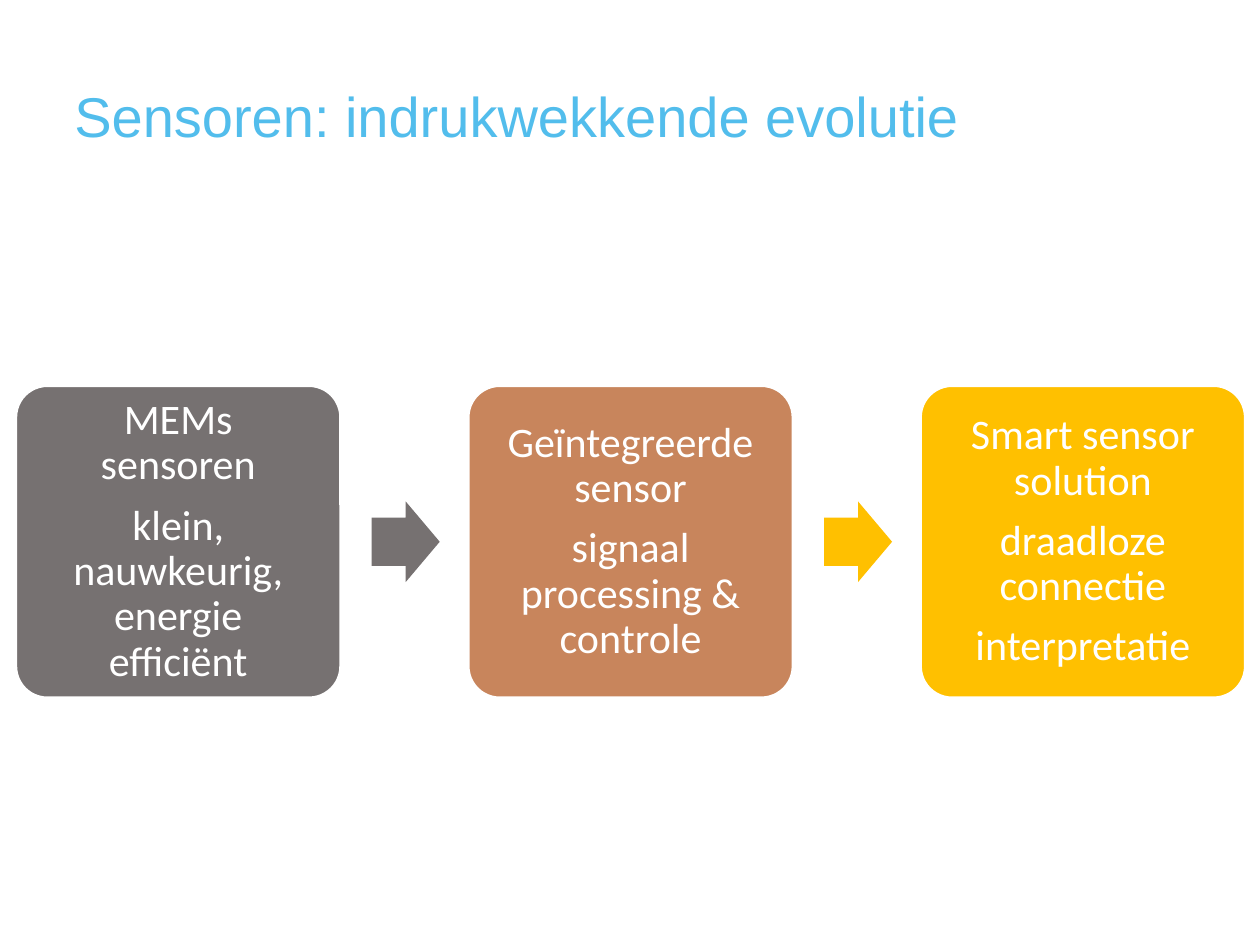
from pptx import Presentation, util as u
from pptx.dml.color import RGBColor
from pptx.enum import shapes, text

look = {
    "title": "52BDEC", "text": "FFFFFF",
    "steps": ["767171", "C8855C", "FFC000"],
    "arrows": ["767171", "FFC000"],
    "head": 32, "body": 24, "gap": 8.5,
}
steps = [
    ["MEMs sensoren", "klein, nauwkeurig, energie efficiënt"],
    ["Geïntegreerde sensor", "signaal processing & controle"],
    ["Smart sensor solution", "draadloze connectie", "interpretatie"],
]
left, pitch, wide, high, mid = 0.13, 3.59, 2.57, 2.47, 4.3
shaft, tall, inset = 0.54, 0.64, 0.17


def style(font, name, size, tint):
    font.name = name
    font.size = u.Pt(size)
    font.color.rgb = RGBColor.from_string(tint)


def block(kind, x, w, h, tint, adjust):
    shape = slide.shapes.add_shape(
        kind, u.Inches(x), u.Inches(mid - h / 2), u.Inches(w), u.Inches(h))
    shape.shadow.inherit = False
    shape.fill.solid()
    shape.fill.fore_color.rgb = RGBColor.from_string(tint)
    shape.line.fill.background()
    for i, share in enumerate(adjust):
        shape.adjustments[i] = share
    return shape


deck = Presentation()
deck.slide_width, deck.slide_height = u.Inches(10), u.Inches(7.5)
slide = deck.slides.add_slide(deck.slide_layouts[5])

title = slide.shapes.title
title.left, title.top = u.Inches(0.59), u.Inches(0.2)
title.width, title.height = u.Inches(9.11), u.Inches(0.98)
frame = title.text_frame
frame.text = "Sensoren: indrukwekkende evolutie"
frame.auto_size = text.MSO_AUTO_SIZE.NONE
frame.vertical_anchor = text.MSO_ANCHOR.BOTTOM
frame.margin_left = frame.margin_right = 0
frame.margin_top = frame.margin_bottom = 0
frame.paragraphs[0].alignment = text.PP_ALIGN.LEFT
style(frame.paragraphs[0].runs[0].font, "Arial", look["head"], look["title"])

for i, (lines, tint) in enumerate(zip(steps, look["steps"])):
    box = block(shapes.MSO_SHAPE.ROUNDED_RECTANGLE,
                left + i * pitch, wide, high, tint, [0.1])
    box.line.color.rgb = RGBColor.from_string(look["text"])
    box.line.width = u.Pt(1)
    frame = box.text_frame
    frame.text = "\n".join(lines)
    frame.word_wrap = True
    frame.vertical_anchor = text.MSO_ANCHOR.MIDDLE
    frame.margin_left = frame.margin_right = u.Inches(inset)
    frame.margin_top = frame.margin_bottom = u.Inches(inset)
    for para in frame.paragraphs:
        para.alignment = text.PP_ALIGN.CENTER
        para.line_spacing = 0.9
        para.space_after = u.Pt(look["gap"])
        style(para.runs[0].font, "Calibri", look["body"], look["text"])

for i, tint in enumerate(look["arrows"]):
    block(shapes.MSO_SHAPE.RIGHT_ARROW,
          left + wide + 0.25 + i * pitch, shaft, tall, tint, [0.6, 0.5])

deck.save("out.pptx")
